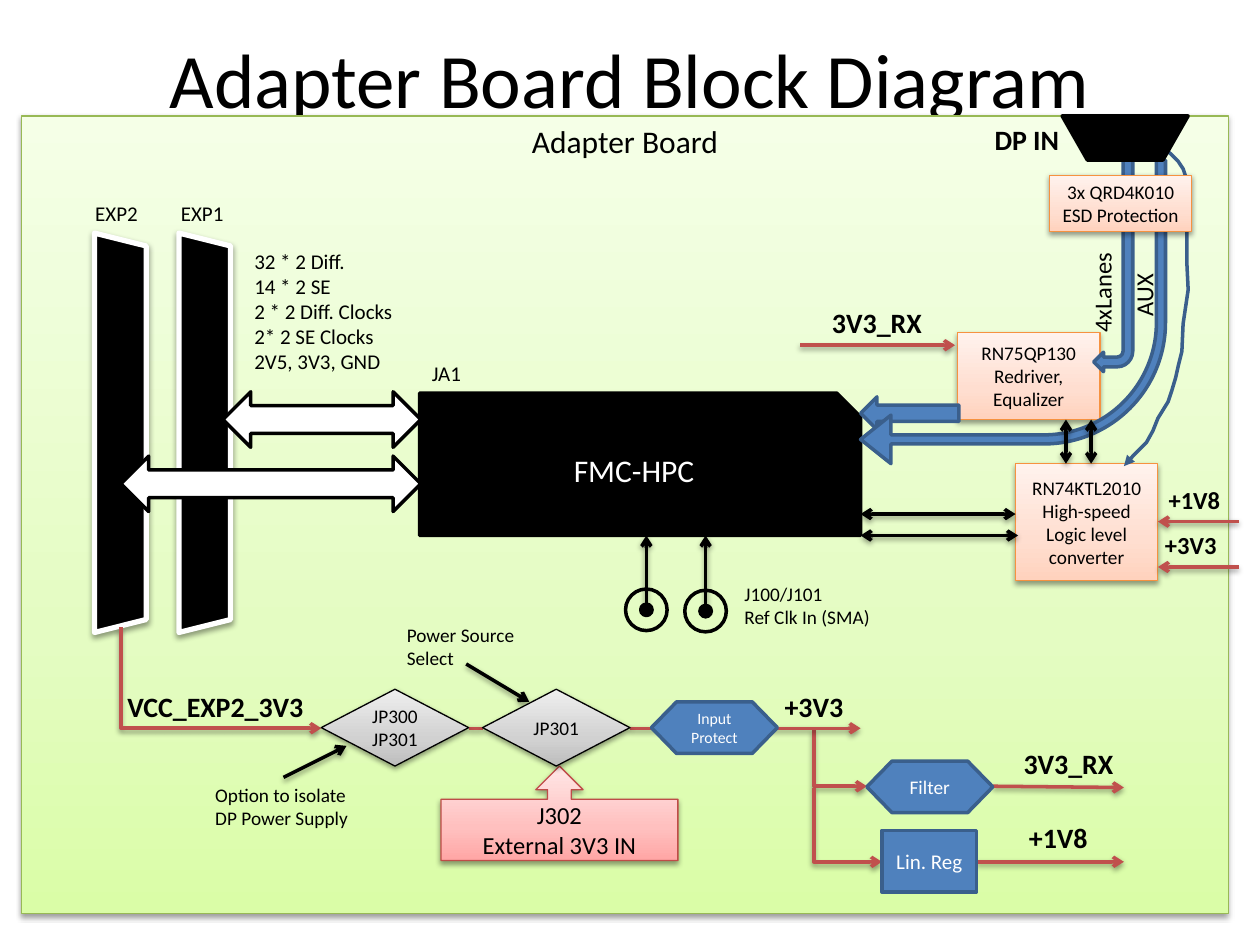
from copy import deepcopy

from lxml import etree
from pptx import Presentation
from pptx.dml.color import RGBColor
from pptx.enum import shapes, text
from pptx.oxml.ns import qn
from pptx.util import Inches, Pt

S, A, V = shapes.MSO_SHAPE, text.PP_ALIGN, text.MSO_ANCHOR
FONT = "Calibri"
COLORS = {"black": "000000", "white": "FFFFFF", "red": "C0504D", "blue": "4F81BD", "navy": "3A5F8C"}
GRADIENTS = {
    "green": ("DAFDA7", "E4FCC2", "F5FFE7"),
    "orange": ("FFD2BD", "FFDED0", "FFF2ED"),
    "gray": ("BDBDBD", "D1D1D1", "EEEEEE"),
    "rose": ("FFA6A5", "FFC0BF", "FFE7E7"),
}
# Look: fill, outline colour, outline width, shadow, text colour
LOOKS = {
    "board": ("green", "98B955", 0.75, True, "black"),
    "chip": ("orange", "F69240", 0.75, True, "black"),
    "jumper": ("gray", "000000", 0.75, True, "black"),
    "supply": ("rose", "BF4C48", 0.75, True, "black"),
    "slot": ("black", "FFFFFF", 3, True, "white"),
    "socket": ("black", "000000", 2, False, "white"),
    "bus": ("white", "000000", 2, False, "black"),
    "power": ("blue", "3A5F8C", 2, False, "white"),
    "ring": (None, "000000", 2, False, "black"),
}

# Blocks: look, preset, (left, top, width, height), text, size, extras
BACK_BLOCKS = [
    ("board", S.RECTANGLE, (0.17, 0.92, 9.58, 6.33), "Adapter Board", 18, {"anchor": V.TOP}),
    ("slot", S.TRAPEZOID, (-0.63, 3.23, 3.17, 0.41), "", 12, {"rotation": 90}),
    ("slot", S.TRAPEZOID, (0.04, 3.23, 3.17, 0.41), "", 12, {"rotation": 90}),
    ("socket", S.SNIP_1_RECTANGLE, (3.33, 3.12, 3.5, 1.13), "FMC-HPC", 18, {}),
    ("bus", S.LEFT_RIGHT_ARROW, (1.77, 3.11, 1.57, 0.44), "", 12, {}),
    ("bus", S.LEFT_RIGHT_ARROW, (0.96, 3.62, 2.38, 0.44), "", 12, {}),
    ("chip", S.RECTANGLE, (7.6, 2.64, 1.13, 0.69), "RN75QP130\nRedriver,\nEqualizer", 11, {}),
    ("supply", S.UP_ARROW_CALLOUT, (3.5, 6.08, 1.88, 0.75), "J302\nExternal 3V3 IN", 14, {}),
    ("power", S.BENT_ARROW, (8.68, 1.27, 0.31, 1.68), "", 12,
     {"rotation": 180, "adjust": (0.25, 0.25, 0.25, 0.4)}),
    ("chip", S.RECTANGLE, (8.06, 3.68, 1.13, 0.93),
     "RN74KTL2010\nHigh-speed\nLogic level converter", 11, {}),
    ("power", S.LEFT_ARROW, (6.83, 3.15, 0.78, 0.26), "", 12, {}),
    ("power", S.BENT_ARROW, (6.83, 1.27, 2.42, 2.41), "", 12,
     {"rotation": 180, "adjust": (0.03, 0.08, 0.1, 0.4)}),
]
FRONT_BLOCKS = [
    ("jumper", S.FLOWCHART_DECISION, (2.55, 5.47, 1.17, 0.61), "JP300\vJP301", 11, {"wrap": False}),
    ("jumper", S.FLOWCHART_DECISION, (3.83, 5.47, 1.17, 0.61), "JP301", 11, {"wrap": False}),
    ("power", S.FLOWCHART_PREPARATION, (5.17, 5.57, 1, 0.41), "Input Protect", 9, {}),
    ("power", S.FLOWCHART_PREPARATION, (6.88, 6.04, 1, 0.41), "Filter", 11, {}),
    ("power", S.FLOWCHART_PROCESS, (7, 6.59, 0.75, 0.49), "Lin. Reg", 12, {}),
    ("chip", S.RECTANGLE, (8.33, 1.39, 1.13, 0.45), "3x QRD4K010\nESD Protection", 11, {}),
    ("socket", S.FLOWCHART_MANUAL_OPERATION, (8.43, 0.92, 1, 0.35), "", 12, {}),
]
CLOCK_INPUTS = [(5.13, 4.84), (5.6, 4.85)]

# Wires: colour, start, end, arrow ends
WIRES = [
    ("black", (2.25, 6.17), (2.75, 5.92), "tail"),
    ("black", (3.7, 5.27), (4.2, 5.57), "tail"),
    ("red", (3.72, 5.78), (3.83, 5.78), ""),
    ("red", (5, 5.78), (6.83, 5.78), "tail"),
    ("red", (7.88, 6.24), (8.92, 6.25), "tail"),
    ("red", (7.75, 6.84), (8.92, 6.84), "tail"),
    ("red", (6.35, 2.74), (7.58, 2.74), "tail"),
    ("red", (9.83, 4.14), (9.19, 4.14), "tail"),
    ("red", (9.83, 4.5), (9.19, 4.5), "tail"),
    ("black", (8.06, 4.08), (6.83, 4.08), "head tail"),
    ("black", (8.08, 4.25), (6.83, 4.25), "head tail"),
    ("black", (8.46, 3.68), (8.46, 3.33), "head tail"),
    ("black", (8.66, 3.68), (8.66, 3.33), "head tail"),
] + [("black", (x, 4.8), (x, 4.25), "tail") for x, _ in CLOCK_INPUTS]
# Wires that run down, then right
ELBOWS = [((0.96, 4.98), (2.55, 5.78)), ((6.46, 5.79), (6.88, 6.24)), ((6.46, 6.25), (7, 6.84))]
HOT_PLUG = [(9.13, 1.14), (9.18, 1.15), (9.24, 1.18), (9.29, 1.22), (9.35, 1.28), (9.39, 1.34),
            (9.41, 1.4), (9.44, 1.47), (9.43, 1.56), (9.42, 1.61), (9.42, 2.1), (9.43, 2.3),
            (9.39, 2.57), (9.38, 2.79), (9.35, 2.91), (9.33, 3), (9.3, 3.1), (9.27, 3.19),
            (9.19, 3.32), (9.15, 3.42), (9.1, 3.51), (9.06, 3.55), (9, 3.61), (8.92, 3.7)]

# Labels: text, (left, top, width, height), size, bold, alignment, rotation
LABELS = [
    ("EXP2", (0.61, 1.54, 0.63, 0.3), 12, False, A.CENTER, 0),
    ("EXP1", (1.29, 1.54, 0.63, 0.3), 12, False, A.CENTER, 0),
    ("JA1", (3.33, 2.81, 1.5, 0.3), 12, False, A.LEFT, 0),
    ("32 * 2 Diff.\n14 * 2 SE\n2 * 2 Diff. Clocks\n2* 2 SE Clocks\n2V5, 3V3, GND",
     (1.92, 1.92, 1.33, 1.31), 12, False, A.LEFT, 0),
    ("VCC_EXP2_3V3", (0.84, 5.42, 1.74, 0.37), 16, True, A.CENTER, 0),
    ("+3V3", (6, 5.42, 0.92, 0.37), 16, True, A.CENTER, 0),
    ("3V3_RX", (7.88, 5.88, 1.2, 0.37), 16, True, A.CENTER, 0),
    ("+1V8", (7.8, 6.46, 1.2, 0.37), 16, True, A.CENTER, 0),
    ("DP IN", (7.55, 0.92, 1.2, 0.37), 16, True, A.CENTER, 0),
    ("3V3_RX", (6.36, 2.38, 1.2, 0.37), 16, True, A.CENTER, 0),
    ("+1V8", (8.88, 3.8, 1.2, 0.34), 14, True, A.CENTER, 0),
    ("+3V3", (8.99, 4.16, 0.92, 0.34), 14, True, A.CENTER, 0),
    ("4xLanes", (8.33, 2.15, 0.84, 0.34), 14, False, A.LEFT, 270),
    ("AUX", (8.81, 2.17, 0.54, 0.34), 14, False, A.LEFT, 270),
    ("Option to isolate\nDP Power Supply", (1.61, 6.17, 1.31, 0.47), 11, False, A.LEFT, 0),
    ("Power Source Select", (3.13, 4.9, 1.31, 0.47), 11, False, A.LEFT, 0),
    ("J100/J101\vRef Clk In (SMA)", (5.81, 4.57, 1.31, 0.47), 11, False, A.LEFT, 0),
]


def rgb(color):
    return RGBColor.from_string(COLORS.get(color, color))


def set_all(target, values):
    for name, value in values.items():
        setattr(target, name, value)


def write(frame, words, size, color="black", bold=False, align=A.CENTER, anchor=V.MIDDLE, wrap=True):
    frame.text = words
    set_all(frame, {"word_wrap": wrap, "vertical_anchor": anchor})
    for paragraph in frame.paragraphs:
        paragraph.alignment = align
        for run in paragraph.runs:
            set_all(run.font, {"name": FONT, "size": Pt(size), "bold": bold})
            run.font.color.rgb = rgb(color)


def set_effect(part, shadow):
    props = part._element.spPr
    effects = props.find(qn("a:effectLst"))
    if effects is None:
        effects = etree.SubElement(props, qn("a:effectLst"))
    if shadow:
        outer = etree.SubElement(effects, qn("a:outerShdw"), blurRad=str(Pt(3.1)), dist=str(Pt(1.6)),
                                 dir="5400000", rotWithShape="0")
        tint = etree.SubElement(outer, qn("a:srgbClr"), val=COLORS["black"])
        etree.SubElement(tint, qn("a:alpha"), val="38000")


def set_line(part, color, width, ends="", arrow="arrow"):
    part.line.color.rgb = rgb(color)
    part.line.width = Pt(width)
    for end in ends.split():
        etree.SubElement(part._element.spPr.find(qn("a:ln")), qn(f"a:{end}End"), type=arrow)


def set_fill(block, fill):
    if fill in GRADIENTS:
        block.fill.gradient()
        block.fill.gradient_angle = 90
        stops = block._element.spPr.find(qn("a:gradFill")).find(qn("a:gsLst"))
        stops.append(deepcopy(stops[0]))
        for stop, place, color in zip(block.fill.gradient_stops, (0, 0.35, 1), GRADIENTS[fill]):
            stop.position = place
            stop.color.rgb = rgb(color)
    elif fill:
        block.fill.solid()
        block.fill.fore_color.rgb = rgb(fill)
    else:
        block.fill.background()


def add_block(slide, look, preset, box, words="", size=12, extras=None):
    extras = extras or {}
    fill, outline, width, shadow, ink = LOOKS[look]
    block = slide.shapes.add_shape(preset, *map(Inches, box))
    block.rotation = extras.get("rotation", 0)
    for i, value in enumerate(extras.get("adjust", ())):
        block.adjustments[i] = value
    set_fill(block, fill)
    set_line(block, outline, width)
    block.shadow.inherit = False
    set_effect(block, shadow)
    if words:
        write(block.text_frame, words, size, ink,
              anchor=extras.get("anchor", V.MIDDLE), wrap=extras.get("wrap", True))


def add_wire(slide, color, start, end, ends):
    wire = slide.shapes.add_connector(shapes.MSO_CONNECTOR.STRAIGHT, *map(Inches, start + end))
    set_line(wire, color, 2, ends)
    set_effect(wire, True)
    return wire


def add_elbow(slide, start, end):
    # A quarter turn swaps width and height about the same centre
    (x1, y1), (x2, y2) = start, end
    mid_x, mid_y, half_w, half_h = (x1 + x2) / 2, (y1 + y2) / 2, (y2 - y1) / 2, (x2 - x1) / 2
    wire = add_wire(slide, "red", (mid_x - half_w, mid_y - half_h), (mid_x + half_w, mid_y + half_h), "tail")
    props = wire._element.spPr
    props.find(qn("a:prstGeom")).set("prst", "bentConnector2")
    for name, value in {"rot": "16200000", "flipH": "1"}.items():
        props.find(qn("a:xfrm")).set(name, value)


def main():
    deck = Presentation()
    set_all(deck, {"slide_width": Inches(10), "slide_height": Inches(7.5)})
    slide = deck.slides.add_slide(deck.slide_layouts[5])

    # Title
    title = slide.shapes.title
    set_all(title, dict(zip(("left", "top", "width", "height"), map(Inches, (0.5, -0.01, 9, 1.25)))))
    write(title.text_frame, "Adapter Board Block Diagram", 44)

    # Board, connectors and wiring
    for block in BACK_BLOCKS:
        add_block(slide, *block)
    for elbow in ELBOWS:
        add_elbow(slide, *elbow)
    for wire in WIRES:
        add_wire(slide, *wire)

    # Hot-plug signal curve
    knots = [(Inches(x), Inches(y)) for x, y in HOT_PLUG]
    outline = slide.shapes.build_freeform(*knots[0])
    outline.add_line_segments(knots[1:], close=False)
    curve = outline.convert_to_shape()
    curve.fill.background()
    set_line(curve, "navy", 2, "tail", "triangle")
    curve.shadow.inherit = False

    # Blocks above the wiring, clock inputs
    for block in FRONT_BLOCKS:
        add_block(slide, *block)
    for x, y in CLOCK_INPUTS:
        for look, size in (("ring", 0.33), ("socket", 0.09)):
            add_block(slide, look, S.OVAL, (x - size / 2, y - size / 2, size, size))

    # Labels
    for words, box, size, bold, align, turn in LABELS:
        label = slide.shapes.add_textbox(*map(Inches, box))
        label.rotation = turn
        write(label.text_frame, words, size, bold=bold, align=align, anchor=V.TOP, wrap=not turn)

    deck.save("out.pptx")


if __name__ == "__main__":
    main()
